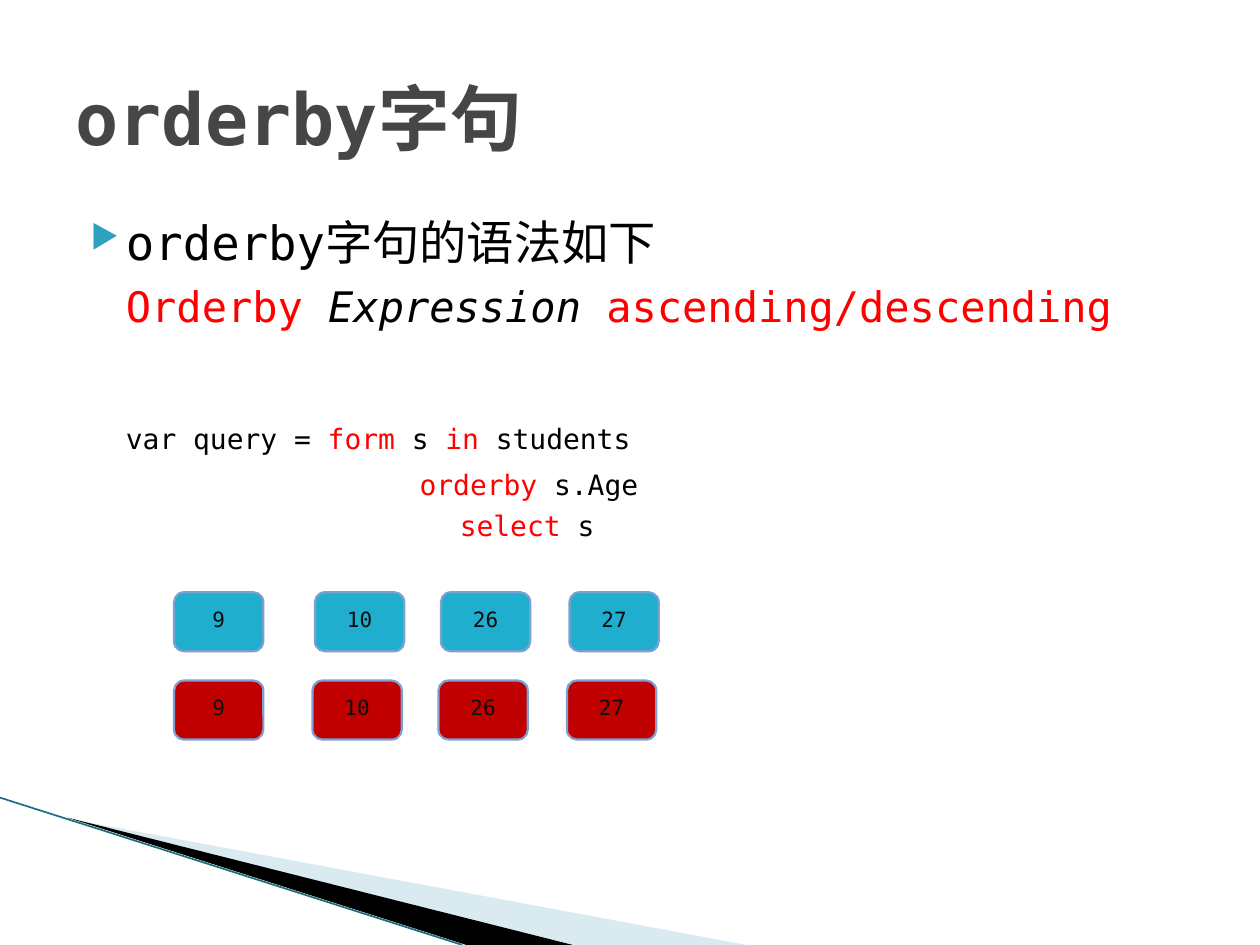
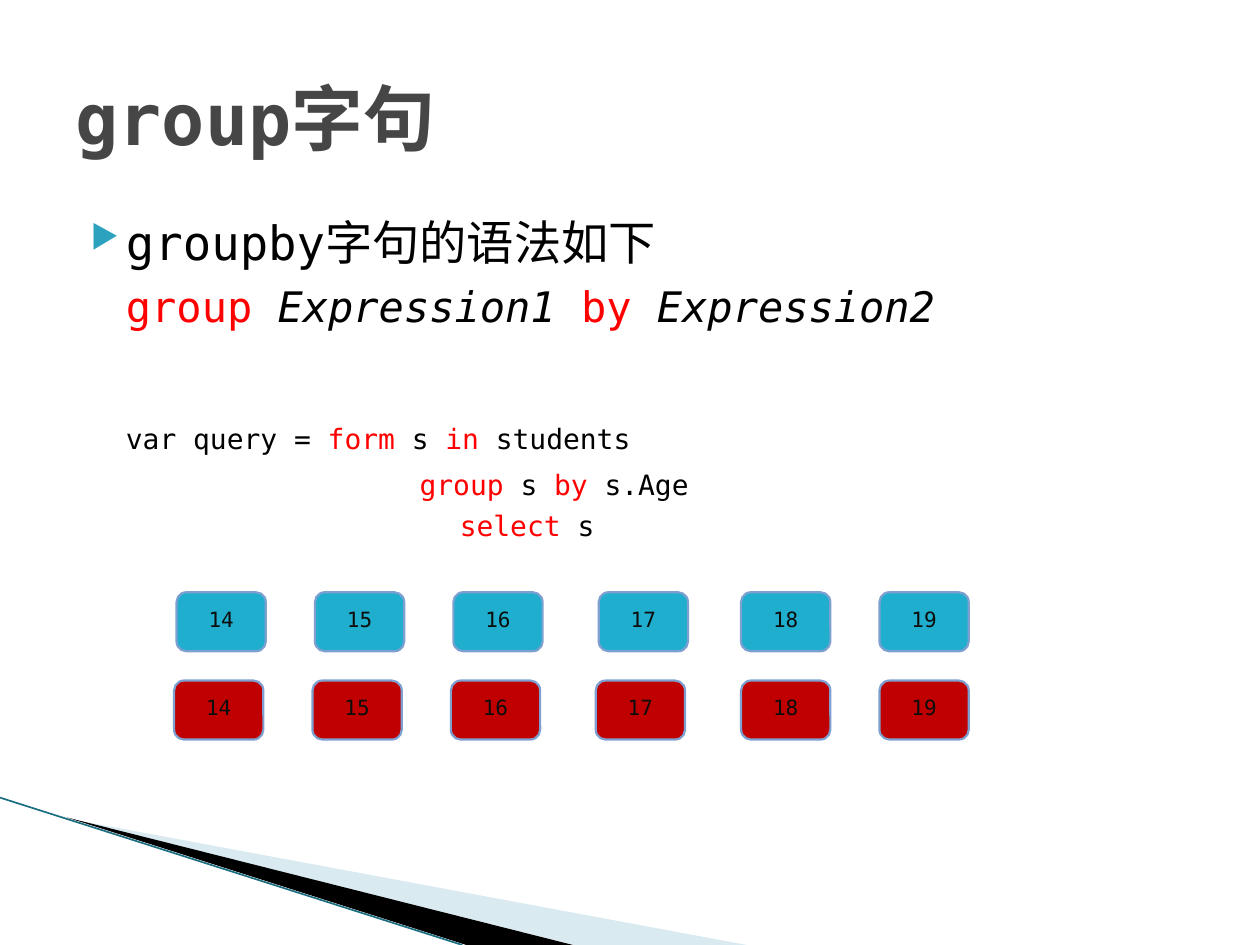
from dataclasses import dataclass
from typing import NamedTuple

import pptx
import pptx.dml.color
import pptx.enum.shapes
import pptx.enum.text
import pptx.oxml.ns
import pptx.presentation
import pptx.shapes.base
import pptx.slide
import pptx.text.text
import pptx.util
from lxml import etree

Cm = pptx.util.Cm
Pt = pptx.util.Pt
qn = pptx.oxml.ns.qn


@dataclass(frozen=True)
class Theme:
    font: str = "DejaVu Sans Mono"
    heading: str = "464646"
    ink: str = "000000"
    keyword: str = "FF0000"
    bullet: str = "2DA2BF"
    ascending: str = "1FAECD"
    descending: str = "C00000"
    value: str = "0D0D0D"
    value_border: str = "7DA0D0"
    pale_wedge: str = "A0CBDC"
    edge: str = "1A6E80"
    title_size: float = 41
    lead_size: float = 27
    syntax_size: float = 24
    code_size: float = 16
    value_size: float = 12


THEME = Theme()


class Fragment(NamedTuple):
    text: str
    color: str = THEME.ink
    italic: bool = False


class Line(NamedTuple):
    fragments: tuple[Fragment, ...]
    size: float
    before: float = 4
    margin: float = 1.02
    bullet: bool = False


class ValueRow(NamedTuple):
    top: float
    fill: str
    lefts: tuple[float, ...]


class Wedge(NamedTuple):
    corners: tuple[tuple[float, float], ...]
    fill: str
    opacity: int


@dataclass(frozen=True)
class Clause:
    title: str
    lead: str
    syntax: tuple[Fragment, ...]
    operation: tuple[Fragment, ...]
    values: tuple[int, ...]
    rows: tuple[ValueRow, ...]


def keyword(text: str) -> Fragment:
    return Fragment(text, THEME.keyword)


def variable(text: str) -> Fragment:
    return Fragment(text, italic=True)


def ascending(*lefts: float) -> ValueRow:
    return ValueRow(11.94, THEME.ascending, lefts)


def descending(*lefts: float) -> ValueRow:
    return ValueRow(13.72, THEME.descending, lefts)


WEDGES = (
    Wedge(((1.4, 16.51), (15.05, 19.05), (11.58, 19.05)), THEME.pale_wedge, 40),
    Wedge(((1.35, 16.48), (11.55, 19.05), (9.4, 19.05)), THEME.ink, 100),
)
FROM_STUDENTS = (
    Fragment("var query = "), keyword("form"), Fragment(" s "),
    keyword("in"), Fragment(" students"),
)
SELECT = (keyword("select "), Fragment("s"))

CLAUSES = (
    Clause(
        "orderby字句",
        "orderby字句的语法如下",
        (keyword("Orderby "), variable("Expression"),
         keyword(" ascending/descending")),
        (keyword("orderby "), Fragment("s.Age")),
        (9, 10, 26, 27),
        (descending(3.51, 6.3, 8.84, 11.43),
         ascending(3.51, 6.35, 8.89, 11.48)),
    ),
    Clause(
        "group字句",
        "groupby字句的语法如下",
        (keyword("group "), variable("Expression1"),
         keyword(" by "), variable("Expression2")),
        (keyword("group "), Fragment("s"), keyword(" by "), Fragment("s.Age")),
        (14, 15, 16, 17, 18, 19),
        (descending(3.51, 6.3, 9.09, 12.01, 14.94, 17.73),
         ascending(3.56, 6.35, 9.14, 12.07, 14.94, 17.73)),
    ),
)


def rgb(color: str) -> pptx.dml.color.RGBColor:
    return pptx.dml.color.RGBColor.from_string(color)


def style_run(run: pptx.text.text._Run, size: float, color: str,
              bold: bool = False, italic: bool = False) -> None:
    run.font.size = Pt(size)
    run.font.bold = bold
    run.font.italic = italic
    run.font.color.rgb = rgb(color)
    run.font.name = THEME.font
    etree.SubElement(run.font._element, qn("a:ea"), typeface=THEME.font)


def fill_solid(shape: pptx.shapes.base.BaseShape, color: str) -> None:
    shape.shadow.inherit = False
    shape.fill.solid()
    shape.fill.fore_color.rgb = rgb(color)


def draw_wedge(slide: pptx.slide.Slide, wedge: Wedge) -> None:
    start, *others = [(Cm(x), Cm(y)) for x, y in wedge.corners]
    builder = slide.shapes.build_freeform(*start)
    builder.add_line_segments(others, close=True)
    band = builder.convert_to_shape()
    fill_solid(band, wedge.fill)
    band.line.fill.background()
    if wedge.opacity < 100:
        tint = band._element.spPr.find(".//" + qn("a:srgbClr"))
        etree.SubElement(tint, qn("a:alpha"), val=str(wedge.opacity * 1000))


def draw_corner(slide: pptx.slide.Slide) -> None:
    for wedge in WEDGES:
        draw_wedge(slide, wedge)
    edge = slide.shapes.add_connector(
        pptx.enum.shapes.MSO_CONNECTOR.STRAIGHT,
        Cm(0), Cm(16.08), Cm(9.32), Cm(19.05))
    edge.line.color.rgb = rgb(THEME.edge)
    edge.line.width = Pt(0.95)
    etree.SubElement(edge._element.spPr, qn("a:effectLst"))


def draw_title(slide: pptx.slide.Slide, text: str) -> None:
    title = slide.shapes.title
    title.left, title.top = Cm(1.27), Cm(0.76)
    title.width, title.height = Cm(22.86), Cm(3.18)
    title.text_frame.text = text
    title.text_frame.vertical_anchor = pptx.enum.text.MSO_ANCHOR.MIDDLE
    heading = title.text_frame.paragraphs[0]
    heading.alignment = pptx.enum.text.PP_ALIGN.LEFT
    style_run(heading.runs[0], THEME.title_size, THEME.heading, bold=True)


def write_line(paragraph: pptx.text.text._Paragraph, line: Line) -> None:
    properties = paragraph._p.get_or_add_pPr()
    properties.set("marL", str(Cm(line.margin)))
    if line.bullet:
        properties.set("indent", str(Cm(-0.71)))
        tint = etree.SubElement(properties, qn("a:buClr"))
        etree.SubElement(tint, qn("a:srgbClr"), val=THEME.bullet)
        etree.SubElement(properties, qn("a:buSzPct"), val="68000")
        etree.SubElement(properties, qn("a:buChar"), char="▶")
    paragraph.space_before = Pt(line.before)
    for fragment in line.fragments:
        run = paragraph.add_run()
        run.text = fragment.text
        style_run(run, line.size, fragment.color, italic=fragment.italic)


def draw_syntax(slide: pptx.slide.Slide, clause: Clause) -> None:
    lines = (
        Line((Fragment(clause.lead),), THEME.lead_size, before=0, bullet=True),
        Line(clause.syntax, THEME.syntax_size, before=6),
        Line(FROM_STUDENTS, THEME.code_size, before=52),
        Line(clause.operation, THEME.code_size, before=7, margin=6.94),
        Line(SELECT, THEME.code_size, margin=7.75),
    )
    body = slide.shapes.add_textbox(Cm(1.27), Cm(4.17), Cm(22.86), Cm(7.5))
    body.text_frame.word_wrap = True
    for index, line in enumerate(lines):
        paragraph = (body.text_frame.add_paragraph() if index
                     else body.text_frame.paragraphs[0])
        write_line(paragraph, line)


def draw_values(slide: pptx.slide.Slide, row: ValueRow,
                values: tuple[int, ...]) -> None:
    for left, value in zip(row.lefts, values):
        age = slide.shapes.add_shape(
            pptx.enum.shapes.MSO_SHAPE.ROUNDED_RECTANGLE,
            Cm(left), Cm(row.top), Cm(1.8), Cm(1.19))
        fill_solid(age, row.fill)
        age.line.color.rgb = rgb(THEME.value_border)
        age.line.width = Pt(1.25)
        age.text_frame.text = str(value)
        age.text_frame.vertical_anchor = pptx.enum.text.MSO_ANCHOR.TOP
        age.text_frame.margin_top = Cm(0.22)
        label = age.text_frame.paragraphs[0]
        label.alignment = pptx.enum.text.PP_ALIGN.CENTER
        style_run(label.runs[0], THEME.value_size, THEME.value)


def draw_clause(deck: pptx.presentation.Presentation, clause: Clause) -> None:
    slide = deck.slides.add_slide(deck.slide_layouts[5])
    draw_corner(slide)
    draw_title(slide, clause.title)
    draw_syntax(slide, clause)
    for row in clause.rows:
        draw_values(slide, row, clause.values)


def main() -> None:
    deck = pptx.Presentation()
    deck.slide_width, deck.slide_height = Cm(25.4), Cm(19.05)
    for clause in CLAUSES:
        draw_clause(deck, clause)
    deck.save("out.pptx")


if __name__ == "__main__":
    main()
